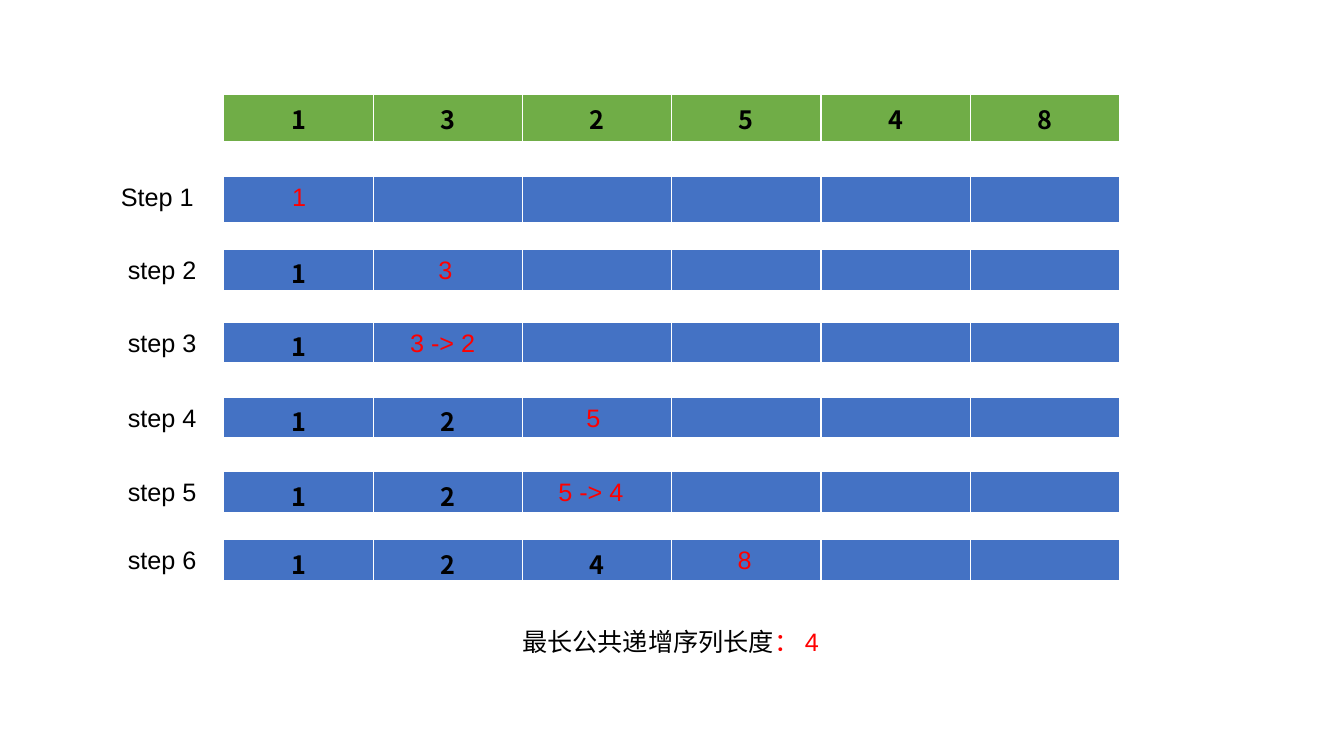
from dataclasses import dataclass

from lxml.etree import SubElement
from pptx import Presentation
from pptx.dml.color import RGBColor
from pptx.enum.text import MSO_AUTO_SIZE as AutoSize, PP_ALIGN as Align
from pptx.oxml.ns import qn
from pptx.util import Pt

COLORS = {"header": "70AD47", "step": "4472C4", "text": "000000", "new": "FF0000"}
LATIN, CJK = "Arial", "Noto Sans CJK SC"
COLUMNS = 6
TABLE_LEFT, COL_W = 159.9, 106.65
LABEL_LEFT, BOX_H = 79.2, 28.8
ROW_H, TALL_ROW_H = 29.2, 33.3


@dataclass
class Step:
    """One pass: the settled values and the value being placed."""
    label: str
    label_w: float
    top: float
    settled: str
    new: str
    new_left: float
    new_w: float
    row_h: float = ROW_H
    bottom_margin: float = 0


STEPS = [
    Step("Step 1", 77, 126, "", "1", 201.6, 26, TALL_ROW_H, 3.6),
    Step(" step 2", 82.8, 178.2, "1", "3", 306, 26),
    Step(" step 3", 82.8, 230, "1", "3 -> 2", 285.8, 73.4),
    Step(" step 4", 82.8, 283.7, "12", "5", 411.8, 26),
    Step(" step 5", 82.8, 337, "12", "5 -> 4", 391.7, 73.4),
    Step(" step 6", 82.8, 385.6, "124", "8", 519.8, 26),
]


def add_run(p, text: str, color: str, font: str = LATIN, bold: bool = False) -> None:
    """Append one 18 pt run to a paragraph."""
    r = p.add_run()
    r.text = text
    r.font.size, r.font.name, r.font.bold = Pt(18), font, bold
    r.font.color.rgb = RGBColor.from_string(COLORS[color])
    SubElement(r.font._element, qn("a:ea")).set("typeface", CJK)


def add_label(s, left: float, top: float, width: float, *runs: tuple[str, str]) -> None:
    """Add an unwrapped text box made of (text, colour) runs."""
    tf = s.shapes.add_textbox(Pt(left), Pt(top), Pt(width), Pt(BOX_H)).text_frame
    tf.word_wrap = False
    tf.auto_size = AutoSize.SHAPE_TO_FIT_TEXT
    for text, color in runs:
        add_run(tf.paragraphs[0], text, color)


def add_array(s, top: float, values: str, fill: str,
              row_h: float = ROW_H, bottom_margin: float = 3.6) -> None:
    """Add a one-row table with one digit per cell."""
    table = s.shapes.add_table(1, COLUMNS, Pt(TABLE_LEFT), Pt(top),
                               Pt(COLUMNS * COL_W), Pt(row_h)).table
    for i, col in enumerate(table.columns):
        col.width = Pt(COL_W)
        cell = table.cell(0, i)
        cell.margin_bottom = Pt(bottom_margin)
        cell.fill.solid()
        cell.fill.fore_color.rgb = RGBColor.from_string(COLORS[fill])
        if i < len(values):
            p = cell.text_frame.paragraphs[0]
            p.alignment = Align.CENTER
            add_run(p, values[i], "text", CJK, True)


prs = Presentation()
prs.slide_width, prs.slide_height = Pt(960), Pt(540)
s = prs.slides.add_slide(prs.slide_layouts[6])

add_array(s, 67.7, "132548", "header")
for step in STEPS:
    add_array(s, step.top, step.settled, "step", step.row_h, step.bottom_margin)
    add_label(s, LABEL_LEFT, step.top, step.label_w, (step.label, "text"))
    add_label(s, step.new_left, step.top, step.new_w, (step.new, "new"))
add_label(s, 365.8, 443.5, 232.6, ("最长公共递增序列长度", "text"), ("： 4", "new"))

prs.save("out.pptx")
